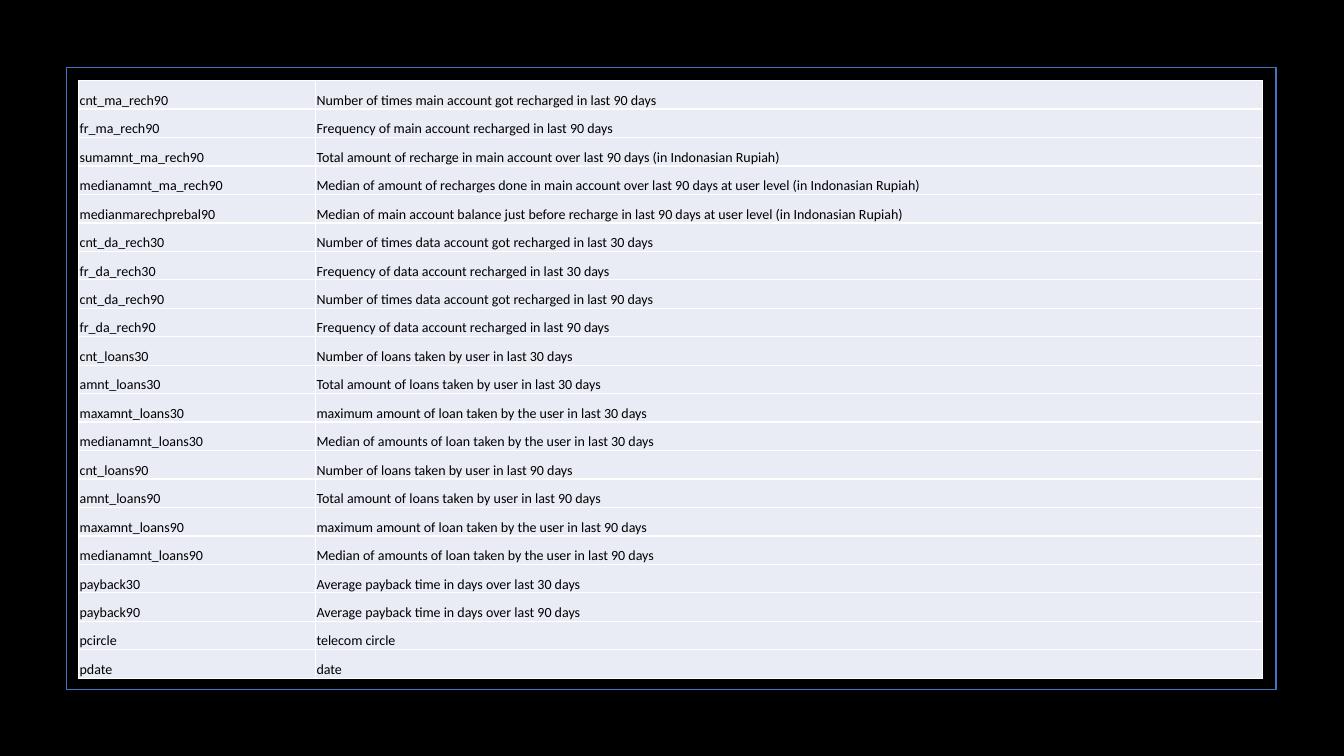
import pptx
import pptx.util
import pptx.dml.color
import pptx.enum.shapes
import pptx.enum.text
import pptx.oxml
from pptx.util import Inches

VARIABLES = [
    ("cnt_ma_rech90", "Number of times main account got recharged in last 90 days"),
    ("fr_ma_rech90", "Frequency of main account recharged in last 90 days"),
    ("sumamnt_ma_rech90", "Total amount of recharge in main account over last 90 days (in Indonasian Rupiah)"),
    ("medianamnt_ma_rech90", "Median of amount of recharges done in main account over last 90 days at user level (in Indonasian Rupiah)"),
    ("medianmarechprebal90", "Median of main account balance just before recharge in last 90 days at user level (in Indonasian Rupiah)"),
    ("cnt_da_rech30", "Number of times data account got recharged in last 30 days"),
    ("fr_da_rech30", "Frequency of data account recharged in last 30 days"),
    ("cnt_da_rech90", "Number of times data account got recharged in last 90 days"),
    ("fr_da_rech90", "Frequency of data account recharged in last 90 days"),
    ("cnt_loans30", "Number of loans taken by user in last 30 days"),
    ("amnt_loans30", "Total amount of loans taken by user in last 30 days"),
    ("maxamnt_loans30", "maximum amount of loan taken by the user in last 30 days"),
    ("medianamnt_loans30", "Median of amounts of loan taken by the user in last 30 days"),
    ("cnt_loans90", "Number of loans taken by user in last 90 days"),
    ("amnt_loans90", "Total amount of loans taken by user in last 90 days"),
    ("maxamnt_loans90", "maximum amount of loan taken by the user in last 90 days"),
    ("medianamnt_loans90", "Median of amounts of loan taken by the user in last 90 days"),
    ("payback30", "Average payback time in days over last 30 days"),
    ("payback90", "Average payback time in days over last 90 days"),
    ("pcircle", "telecom circle"),
    ("pdate", "date"),
]


def color(value):
    return pptx.dml.color.RGBColor.from_string(value)


class Deck:
    font, size = "Calibri", 10
    ink, paper, accent, cell_fill, rule = "000000", "000000", "4472C4", "E9EBF5", "FFFFFF"

    def __init__(self, width, height):
        self.prs = pptx.Presentation()
        self.prs.slide_width, self.prs.slide_height = Inches(width), Inches(height)

    def add_slide(self):
        self.s = self.prs.slides.add_slide(self.prs.slide_layouts[6])
        fill = self.s.background.fill
        fill.solid()
        fill.fore_color.rgb = color(self.paper)

    def frame(self, x, y, w, h):
        sp = self.s.shapes.add_shape(pptx.enum.shapes.MSO_SHAPE.RECTANGLE,
                                     Inches(x), Inches(y), Inches(w), Inches(h))
        sp.shadow.inherit = False
        sp.fill.background()
        sp.line.color.rgb = color(self.accent)
        sp.line.width = pptx.util.Pt(1.25)

    def table(self, x, y, widths, height, rows):
        gf = self.s.shapes.add_table(len(rows), len(widths), Inches(x), Inches(y),
                                     Inches(sum(widths)), Inches(height))
        table = gf.table
        table.first_row = table.horz_banding = False
        for column, width in zip(table.columns, widths):
            column.width = Inches(width)
        for i, row in enumerate(rows):
            for j, text in enumerate(row):
                self.cell(table.cell(i, j), text)

    def cell(self, cell, text):
        cell.margin_left = cell.margin_right = cell.margin_top = Inches(0.01)
        cell.margin_bottom = 0
        cell.vertical_anchor = pptx.enum.text.MSO_ANCHOR.BOTTOM
        p = cell.text_frame.paragraphs[0]
        p.text = text
        font = p.runs[0].font
        font.name, font.size = self.font, pptx.util.Pt(self.size)
        font.color.rgb = color(self.ink)
        # Borders come before the fill in the cell properties
        tc_pr = cell._tc.get_or_add_tcPr()
        for side in ("lnL", "lnR", "lnT", "lnB"):
            tc_pr.append(pptx.oxml.parse_xml(
                f'<a:{side} xmlns:a="http://schemas.openxmlformats.org/drawingml/2006/main" w="12700">'
                f'<a:solidFill><a:srgbClr val="{self.rule}"/></a:solidFill></a:{side}>'))
        cell.fill.solid()
        cell.fill.fore_color.rgb = color(self.cell_fill)


def main():
    deck = Deck(13.33, 7.5)
    deck.add_slide()
    # Outline around the content
    deck.frame(0.66, 0.67, 12, 6.17)
    # Variable names and their definitions
    deck.table(0.78, 0.8, [2.35, 9.39], 5.93, VARIABLES)
    deck.prs.save("out.pptx")


if __name__ == "__main__":
    main()
